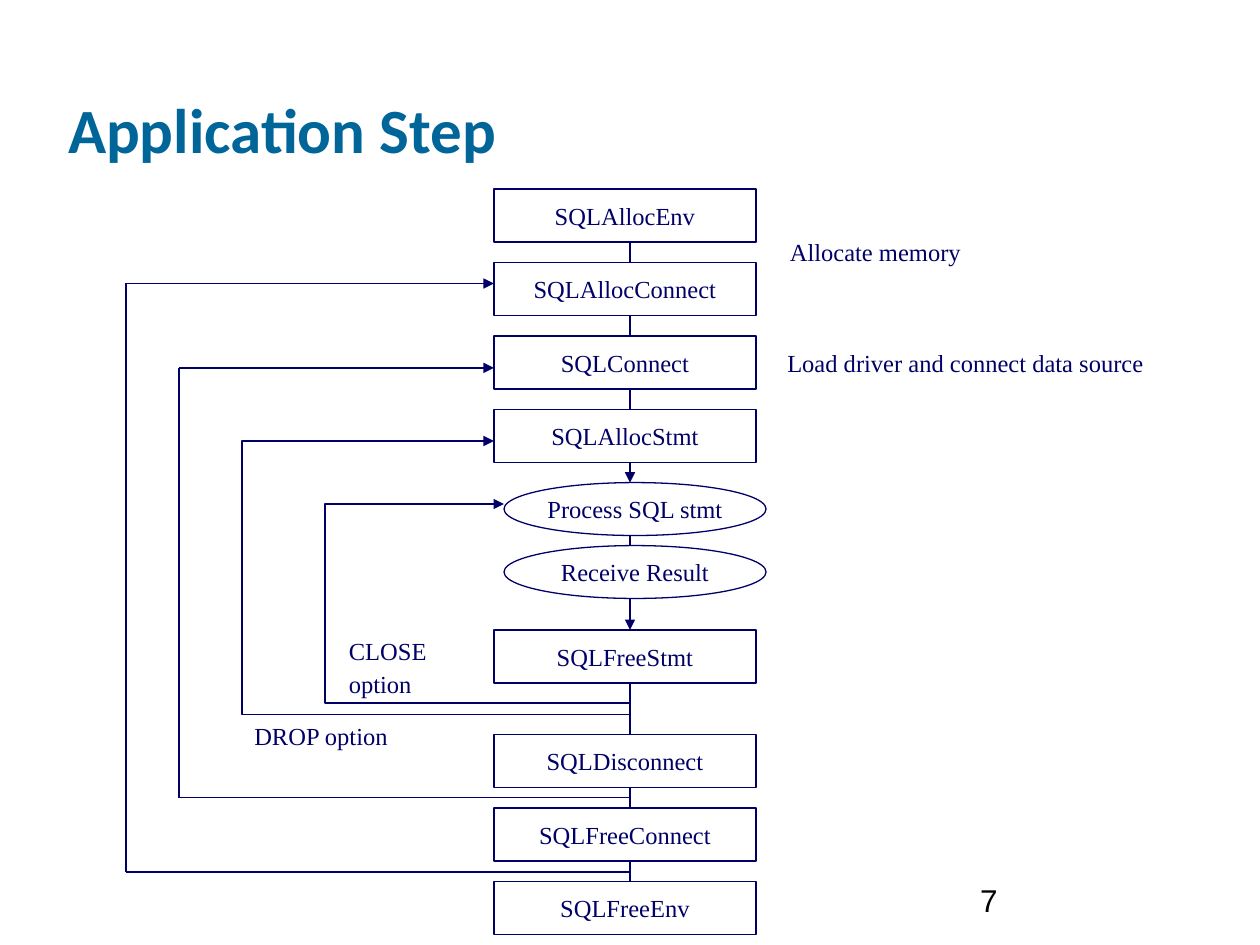
import itertools

import pptx
import pptx.dml.color
import pptx.enum.shapes
import pptx.enum.text
import pptx.oxml
import pptx.oxml.ns
import pptx.util
from pptx.util import Inches

NAVY = pptx.dml.color.RGBColor(0x00, 0x00, 0x66)
TEAL = pptx.dml.color.RGBColor(0x00, 0x66, 0x99)
BLACK = pptx.dml.color.RGBColor(0x00, 0x00, 0x00)
WHITE = pptx.dml.color.RGBColor(0xFF, 0xFF, 0xFF)

RECT = pptx.enum.shapes.MSO_SHAPE.RECTANGLE
OVAL = pptx.enum.shapes.MSO_SHAPE.OVAL
ANCHOR = pptx.enum.text.MSO_ANCHOR
ALIGN = pptx.enum.text.PP_ALIGN
AUTO_SIZE = pptx.enum.text.MSO_AUTO_SIZE

BODY_FONT = {"name": "Times New Roman", "size": pptx.util.Pt(14), "bold": False}
TITLE_FONT = {"name": "Calibri", "size": pptx.util.Pt(36), "bold": True}
NUMBER_FONT = {"name": "Arial", "size": pptx.util.Pt(18), "bold": False}

STEP_WIDTH, STEP_HEIGHT = 2.08, 0.42
PITCH = 1.75 / 3
CALL_LEFT, PROCESS_LEFT, SPINE = 3.92, 4, 5

SETUP_CALLS = ["SQLAllocEnv", "SQLAllocConnect", "SQLConnect", "SQLAllocStmt"]
PROCESSING = ["Process SQL stmt", "Receive Result"]
CLEANUP_CALLS = ["SQLDisconnect", "SQLFreeConnect", "SQLFreeEnv"]
ARROW_TARGETS = {"Process SQL stmt", "SQLFreeStmt"}


def apply(target, values):
    for attribute, value in values.items():
        setattr(target, attribute, value)


class FlowSlide:
    def __init__(self, presentation):
        self.slide = presentation.slides.add_slide(presentation.slide_layouts[5])
        self.shapes = self.slide.shapes

    def set_text(self, shape, lines, font, color, frame, paragraph_format):
        text_frame = shape.text_frame
        text_frame.text = "\n".join(lines)
        apply(text_frame, frame)
        for paragraph in text_frame.paragraphs:
            apply(paragraph, paragraph_format)
            apply(paragraph.font, font)
            paragraph.font.color.rgb = color
        for paragraph in text_frame.paragraphs[1:]:
            paragraph.space_before = pptx.util.Pt(8.8)

    def title(self, text, left, top, width, height):
        heading = self.shapes.title
        apply(heading, {"left": Inches(left), "top": Inches(top),
                        "width": Inches(width), "height": Inches(height)})
        self.set_text(heading, [text], TITLE_FONT, TEAL,
                      {"vertical_anchor": ANCHOR.BOTTOM, "word_wrap": True,
                       "auto_size": AUTO_SIZE.NONE},
                      {"alignment": ALIGN.LEFT})

    def step(self, kind, text, left, top):
        step = self.shapes.add_shape(kind, Inches(left), Inches(top),
                                     Inches(STEP_WIDTH), Inches(STEP_HEIGHT))
        step.shadow.inherit = False
        step.fill.solid()
        step.fill.fore_color.rgb = WHITE
        self.stroke(step)
        self.set_text(step, [text], BODY_FONT, NAVY,
                      {"vertical_anchor": ANCHOR.MIDDLE, "word_wrap": False},
                      {"alignment": ALIGN.CENTER})

    def stroke(self, shape, arrow=False):
        shape.line.color.rgb = NAVY
        shape.line.width = pptx.util.Pt(0.75)
        if arrow:
            outline = shape.element.spPr.find(pptx.oxml.ns.qn("a:ln"))
            outline.append(pptx.oxml.parse_xml(
                f'<a:tailEnd {pptx.oxml.ns.nsdecls("a")} type="triangle"/>'))

    def line(self, start, end, arrow=False):
        link = self.shapes.add_connector(
            pptx.enum.shapes.MSO_CONNECTOR.STRAIGHT,
            *(Inches(value) for value in (*start, *end)))
        self.stroke(link, arrow)
        link.element.spPr.append(pptx.oxml.parse_xml(
            f'<a:effectLst {pptx.oxml.ns.nsdecls("a")}/>'))

    def segmented_loop(self, points):
        for start, end in itertools.pairwise(points):
            self.line(start, end, arrow=end == points[-1])

    def solid_loop(self, points):
        start, *others = [(Inches(x), Inches(y)) for x, y in points]
        builder = self.shapes.build_freeform(*start)
        builder.add_line_segments(others, close=False)
        loop = builder.convert_to_shape()
        loop.shadow.inherit = False
        loop.fill.background()
        self.stroke(loop, arrow=True)

    def label(self, lines, left, top, width, height, spacing=1.0):
        label = self.shapes.add_textbox(Inches(left), Inches(top),
                                        Inches(width), Inches(height))
        self.set_text(label, lines, BODY_FONT, NAVY,
                      {"word_wrap": True, "auto_size": AUTO_SIZE.SHAPE_TO_FIT_TEXT},
                      {"line_spacing": spacing})

    def number(self, text, left, top, width, height):
        number = self.shapes.add_textbox(Inches(left), Inches(top),
                                         Inches(width), Inches(height))
        self.set_text(number, [text], NUMBER_FONT, BLACK,
                      {"word_wrap": True, "vertical_anchor": ANCHOR.BOTTOM}, {})


def loop_points(left, bottom, top, target):
    return [(SPINE, bottom), (left, bottom), (left, top), (target, top)]


def main():
    presentation = pptx.Presentation()
    presentation.slide_width = Inches(10)
    presentation.slide_height = Inches(7.5)
    flow = FlowSlide(presentation)
    flow.title("Application Step", 0.44, 0.12, 8.5, 1.25)

    steps = [(RECT, name, CALL_LEFT, 1.5 + row * PITCH)
             for row, name in enumerate(SETUP_CALLS)]
    steps += [(OVAL, name, PROCESS_LEFT, 3.83 + row * 0.5)
              for row, name in enumerate(PROCESSING)]
    steps.append((RECT, "SQLFreeStmt", CALL_LEFT, 5))
    steps += [(RECT, name, CALL_LEFT, 5.83 + row * PITCH)
              for row, name in enumerate(CLEANUP_CALLS)]

    for step in steps:
        flow.step(*step)
    for (*_, upper_top), (_, name, _, lower_top) in itertools.pairwise(steps):
        flow.line((SPINE, upper_top + STEP_HEIGHT), (SPINE, lower_top),
                  arrow=name in ARROW_TARGETS)

    flow.segmented_loop(loop_points(1.42, 6.33, 2.92, CALL_LEFT))
    flow.segmented_loop(loop_points(1, 6.92, 2.25, CALL_LEFT))
    flow.solid_loop(loop_points(2.58, 5.58, 4, PROCESS_LEFT))
    flow.solid_loop(loop_points(1.92, 5.67, 3.5, CALL_LEFT))

    flow.label(["CLOSE", "option"], 2.67, 5.08, 0.92, 0.5, spacing=0.6)
    flow.label(["DROP option"], 1.92, 5.67, 1.67, 0.34)
    flow.label(["Load driver and connect data source"], 6.15, 2.71, 3.44, 0.34)
    flow.label(["Allocate memory"], 6.17, 1.83, 1.92, 0.34)
    flow.number("7", 7.68, 6.84, 2.08, 0.5)

    presentation.save("out.pptx")


if __name__ == "__main__":
    main()
